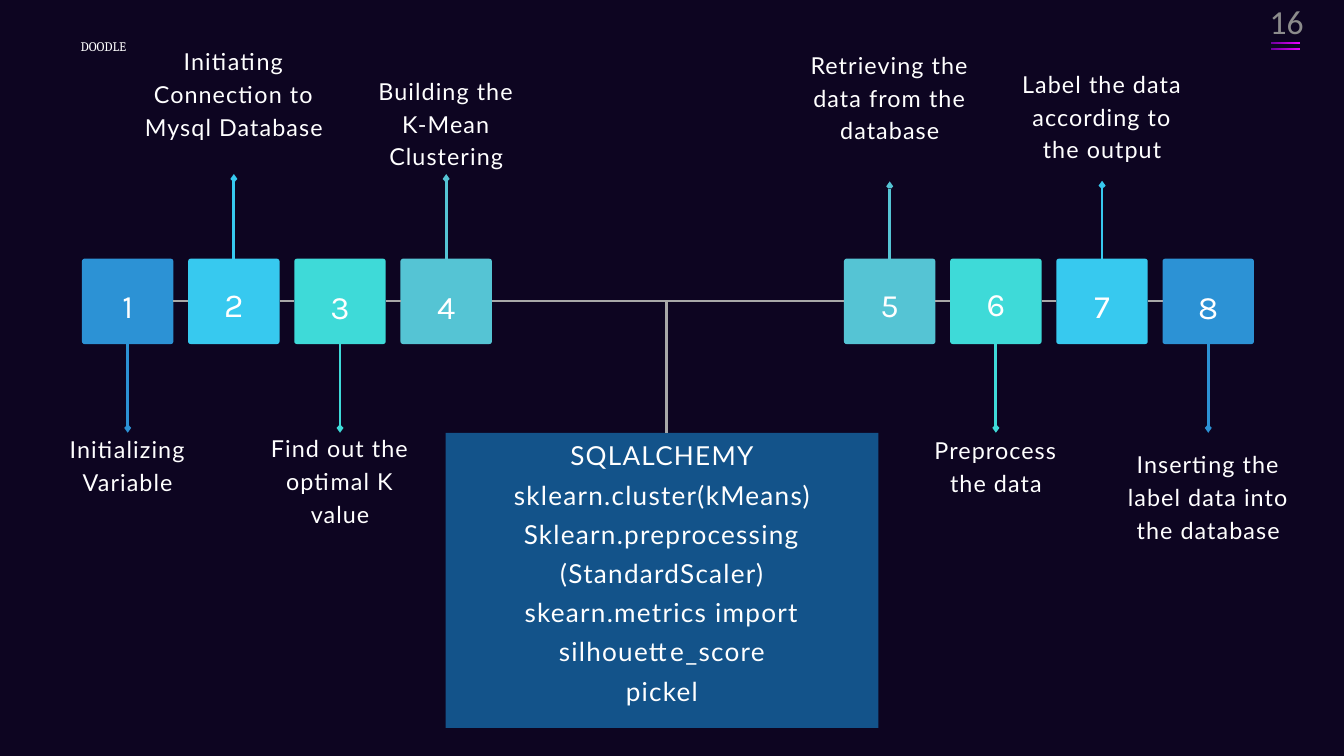
from lxml import etree
from pptx import Presentation
from pptx.dml.color import RGBColor
from pptx.enum.shapes import MSO_CONNECTOR, MSO_SHAPE
from pptx.enum.text import MSO_ANCHOR, MSO_AUTO_SIZE, PP_ALIGN
from pptx.oxml.ns import qn
from pptx.util import Inches, Pt

ROUNDED, RECTANGLE = MSO_SHAPE.ROUNDED_RECTANGLE, MSO_SHAPE.RECTANGLE
STRAIGHT = MSO_CONNECTOR.STRAIGHT
TOP, MIDDLE = MSO_ANCHOR.TOP, MSO_ANCHOR.MIDDLE
LEFT, CENTER, RIGHT = PP_ALIGN.LEFT, PP_ALIGN.CENTER, PP_ALIGN.RIGHT
GROW, FIXED = MSO_AUTO_SIZE.SHAPE_TO_FIT_TEXT, MSO_AUTO_SIZE.NONE

WIDTH, HEIGHT = 20, 11.25
PITCH, STEP_WIDTH = 1.58, 1.36
GROUP_LEFTS = (1.22, 12.56)
STEP_TOP, AXIS, STEP_BOTTOM, LOWER_ROW = 3.85, 4.48, 5.12, 6.44
PANEL_LEFT, PANEL_WIDTH, PANEL_HEIGHT = 6.63, 6.44, 4.39
BLUE, SKY, AQUA, TEAL = "2C92D5", "37C9EF", "3EDAD8", "55C4D4"
GREY, WHITE = "A8A8A8", "FFFFFF"

presentation = Presentation()
presentation.slide_width, presentation.slide_height = Inches(WIDTH), Inches(HEIGHT)
slide = presentation.slides.add_slide(presentation.slide_layouts[6])


def paint(fill, *colors):
    if len(colors) == 1:
        fill.solid()
        fill.fore_color.rgb = RGBColor.from_string(colors[0])
        return
    fill.gradient()
    fill.gradient_angle = 0
    for stop, color in zip(fill.gradient_stops, colors):
        stop.color.rgb = RGBColor.from_string(color)


def add_text(text, box, size, font, color=WHITE, align=CENTER, anchor=TOP,
             leading=None, tracking=None, inset=(0, 0), fit=FIXED):
    frame = slide.shapes.add_textbox(*map(Inches, box)).text_frame
    frame.word_wrap, frame.auto_size, frame.vertical_anchor = True, fit, anchor
    frame.margin_left = frame.margin_right = Inches(inset[0])
    frame.margin_top = frame.margin_bottom = Inches(inset[1])
    frame.text = text
    for paragraph in frame.paragraphs:
        paragraph.alignment = align
        if leading:
            paragraph.line_spacing = Pt(leading)
        run = paragraph.runs[0]
        run.font.size, run.font.name = Pt(size), font
        paint(run.font.fill, color)
        if tracking:
            run.font._element.set("spc", str(tracking))


paint(slide.background.fill, "0D0521")

steps = [
    ("Initializing Variable", BLUE, 6.38, 1.02, 2.41, 4.16, 35),
    ("Initiating Connection to Mysql Database", SKY, 0.14, 2.45, 2.71, 4.13, 36),
    ("Find out the optimal K value", AQUA, 6.38, 1.49, 2.41, 4.17, 35),
    ("Building the K-Mean Clustering", TEAL, 1.03, 1.56, 2.41, 4.17, 35),
    ("Retrieving the data from the database", TEAL, 0.14, 2.56, 2.41, 4.14, 35),
    ("Preprocess the data", AQUA, 6.38, 1.06, 2.41, 4.13, 35),
    ("Label the data according to the output", SKY, 0.72, 1.97, 2.41, 4.16, 35),
    ("Inserting the label data into the database", BLUE, 6.38, 1.97, 2.41, 4.17, 35),
]
step_lefts = [start + PITCH * column for start in GROUP_LEFTS for column in range(4)]

panel_center = PANEL_LEFT + PANEL_WIDTH / 2
blocks = [(ROUNDED, (left, STEP_TOP, STEP_WIDTH, STEP_BOTTOM - STEP_TOP), [step[1]])
          for left, step in zip(step_lefts, steps)]
blocks.append((RECTANGLE, (PANEL_LEFT, LOWER_ROW, PANEL_WIDTH, PANEL_HEIGHT), ["13538A"]))
blocks += [(RECTANGLE, (18.91, top, 0.43, 0.03), ["6E009B", "EB00FF"]) for top in (0.62, 0.72)]
for preset, box, colors in blocks:
    block = slide.shapes.add_shape(preset, *map(Inches, box))
    block.shadow.inherit = False
    block.line.fill.background()
    paint(block.fill, *colors)
    if preset == ROUNDED:
        block.adjustments[0] = 0.03

lines = [(left + STEP_WIDTH, AXIS, following, AXIS, GREY, False)
         for left, following in zip(step_lefts, step_lefts[1:])]
lines.append((panel_center + 0.07, AXIS, panel_center + 0.07, LOWER_ROW, GREY, False))

for number, (left, step) in enumerate(zip(step_lefts, steps), 1):
    caption, color, top, height, width, number_top, number_size = step
    center = left + STEP_WIDTH / 2
    if top < STEP_TOP:
        lines.append((center, top + height, center, STEP_TOP, color, True))
    else:
        lines.append((center, LOWER_ROW, center, STEP_BOTTOM, color, True))
    add_text(caption, (center - width / 2, top, width, height), 25, "Lato",
             anchor=MIDDLE, leading=35, tracking=120)
    add_text(str(number), (left, number_top, STEP_WIDTH, 0.64), number_size, "Karla",
             leading=number_size * 1.4, fit=GROW)

for *ends, color, arrow in lines:
    connector = slide.shapes.add_connector(STRAIGHT, *map(Inches, ends))
    connector.line.width = Pt(3)
    paint(connector.line.fill, color)
    if arrow:
        etree.SubElement(connector.line._get_or_add_ln(), qn("a:headEnd"),
                         type="arrow", w="sm", len="sm")
    etree.SubElement(connector._element.spPr, qn("a:effectLst"))

libraries = [
    "SQLALCHEMY",
    "sklearn.cluster(kMeans)",
    "Sklearn.preprocessing (StandardScaler)",
    "skearn.metrics import silhouette_score",
    "pickel",
]
add_text("\n".join(libraries), (PANEL_LEFT, 6.11, PANEL_WIDTH, 4.72), 28, "Lato",
         anchor=MIDDLE, leading=42, tracking=140, inset=(0.28, 0.28))
add_text("DOODLE", (1.2, 0.53, 1.52, 0.27), 14, "Cambria", align=LEFT, leading=19.6, fit=GROW)
add_text("16", (17.17, 0.12, 2.33, 0.4), 36, "Calibri", color="8C8C8C",
         align=RIGHT, anchor=MIDDLE, inset=(0.1, 0.05))

presentation.save("out.pptx")
